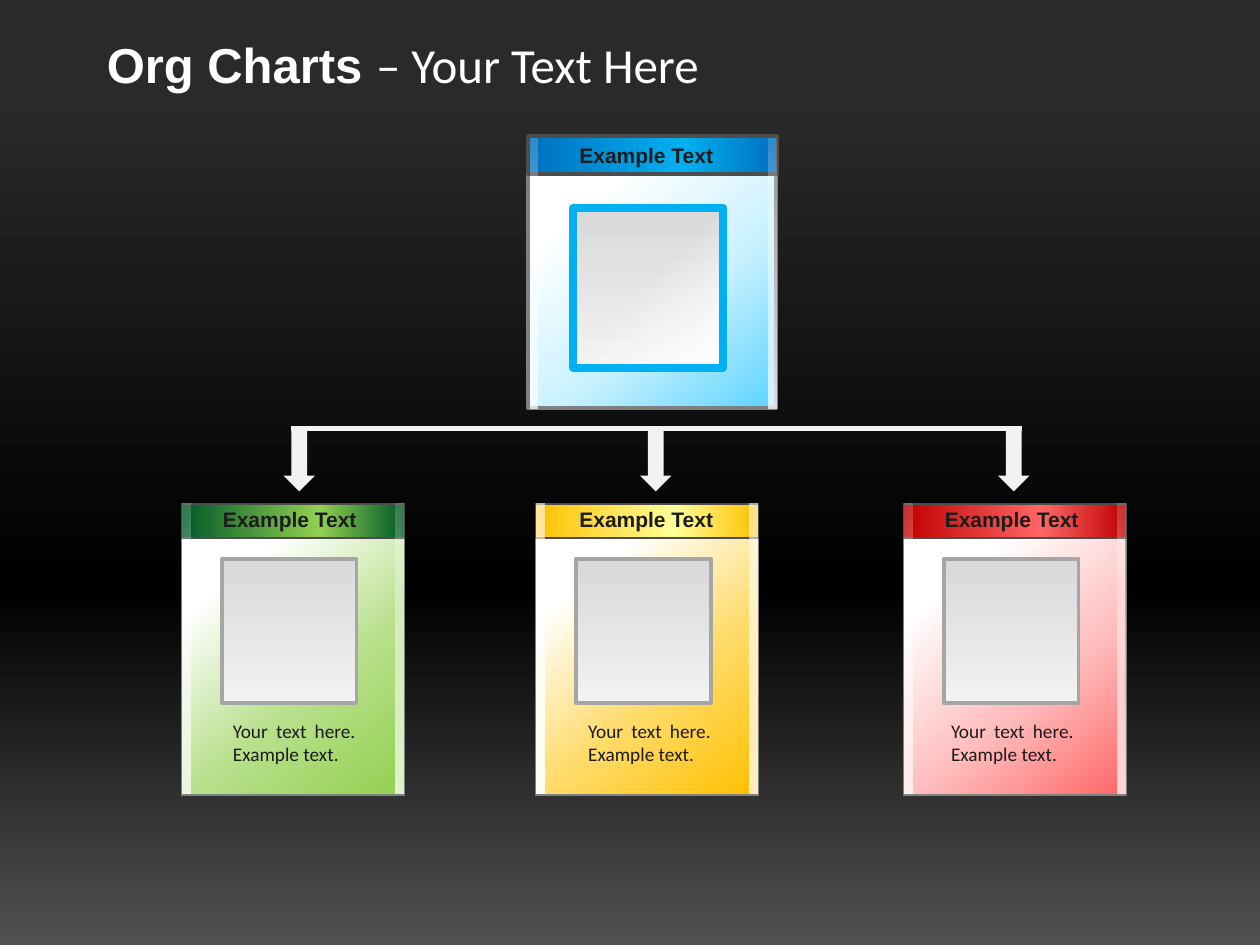
from lxml import etree
from pptx import Presentation
from pptx.dml.color import RGBColor
from pptx.enum.shapes import MSO_CONNECTOR, MSO_SHAPE
from pptx.enum.text import MSO_ANCHOR, PP_ALIGN
from pptx.oxml.ns import qn
from pptx.util import Inches, Pt

RECT, DOWN_ARROW = MSO_SHAPE.RECTANGLE, MSO_SHAPE.DOWN_ARROW
STRAIGHT = MSO_CONNECTOR.STRAIGHT
TOP, MIDDLE = MSO_ANCHOR.TOP, MSO_ANCHOR.MIDDLE
LEFT, JUSTIFY = PP_ALIGN.LEFT, PP_ALIGN.JUSTIFY

COLORS = {
    "white": "FFFFFF", "ink": "1C1C1C", "arrow": "F2F2F2", "edge": "808080",
    "header_edge": "4D4D4D", "frame": "A6A6A6", "frame_top": "00B0F0",
    "photo_low": "F2F2F2", "photo_high": "D9D9D9",
    "bg_top": "2A2A2A", "bg_mid": "000000", "bg_low": "515151",
    "blue": "0070C0", "blue_mid": "00B0F0", "blue_pale": "C9F1FF", "blue_end": "5DD4FF",
    "green": "005828", "green_mid": "92D050", "green_pale": "B8E08C", "green_end": "92D050",
    "gold": "FFC000", "gold_mid": "FFFF99", "gold_pale": "FFDB69", "gold_end": "FFC000",
    "red": "BF0000", "red_mid": "FF6666", "red_pale": "FFBFBF", "red_end": "FF6666",
}
TITLE = {"size": Pt(28), "name": "Arial", "bold": True}
SUBTITLE = {"size": Pt(28), "name": "Calibri", "bold": False}
HEADING = {"size": Pt(12), "name": "Arial", "bold": True}
BODY = {"size": Pt(11), "name": "Calibri", "bold": False}
SHEEN = ((18, 74), (18, 74))
BRANCHES = (
    ("green", 1.44, 1.67, 1.75, SHEEN),
    ("gold", 4.25, 4.5, 4.57, ((59, 95), (52, 74))),
    ("red", 7.17, 7.4, 7.45, SHEEN),
)


def rgb(name):
    """Return the named colour."""
    return RGBColor.from_string(COLORS[name])


def set_gradient(fill, owner, stops, angle):
    """Fill with (position, colour, opacity) stops at a clockwise angle."""
    fill.gradient()
    grad = owner.find(".//" + qn("a:gradFill"))
    gs_lst = grad.find(qn("a:gsLst"))
    for gs in list(gs_lst):
        gs_lst.remove(gs)
    for pos, color, opacity in stops:
        gs = etree.SubElement(gs_lst, qn("a:gs"), pos=str(pos * 1000))
        clr = etree.SubElement(gs, qn("a:srgbClr"), val=COLORS[color])
        if opacity < 100:
            etree.SubElement(clr, qn("a:alpha"), val=str(opacity * 1000))
    grad.find(qn("a:lin")).set("ang", str(angle * 60000))


def add_box(s, box, stops, angle, line=None, width=1):
    """Add a gradient rectangle with an optional outline."""
    sp = s.shapes.add_shape(RECT, *map(Inches, box))
    sp.shadow.inherit = False
    set_gradient(sp.fill, sp._element.spPr, stops, angle)
    if line:
        sp.line.color.rgb = rgb(line)
        sp.line.width = Pt(width)
    else:
        sp.line.fill.background()


def add_text(s, box, runs, color="ink", align=LEFT, anchor=TOP):
    """Add a wrapped text box made of (text, format) runs."""
    tf = s.shapes.add_textbox(*map(Inches, box)).text_frame
    tf.word_wrap = True
    tf.vertical_anchor = anchor
    p = tf.paragraphs[0]
    p.alignment = align
    for text, fmt in runs:
        r = p.add_run()
        r.text = text
        r.font.color.rgb = rgb(color)
        for key, value in fmt.items():
            setattr(r.font, key, value)


def add_line(s, x1, x2, y, color, width):
    """Add a horizontal line."""
    c = s.shapes.add_connector(STRAIGHT, *map(Inches, (x1, y, x2, y)))
    c.line.color.rgb = rgb(color)
    c.line.width = Pt(width)
    etree.SubElement(c._element.spPr, qn("a:effectLst"))


def add_arrow(s, x):
    """Add a downward arrow."""
    sp = s.shapes.add_shape(DOWN_ARROW, *map(Inches, (x, 3.4, 0.25, 0.5)))
    sp.shadow.inherit = False
    sp.fill.solid()
    sp.fill.fore_color.rgb = rgb("arrow")
    sp.line.fill.background()


def add_panel(s, hue, body, header, photo, frame, widths):
    """Add a card's body, header and framed photo area."""
    edge, header_edge, photo_edge = widths
    pale = [(24, "white", 100), (62, hue + "_pale", 100), (100, hue + "_end", 100)]
    band = [(0, hue, 100), (62, hue + "_mid", 100), (100, hue, 100)]
    grey = [(0, "photo_low", 100), (100, "photo_high", 100)]
    add_box(s, body, pale, 50, "edge", edge)
    add_box(s, header, band, 0, "header_edge", header_edge)
    add_box(s, photo, grey, 270, frame, photo_edge)


def add_sheen(s, xs, y, height, opacities):
    """Add the translucent strips along both card sides."""
    for x, (start, end) in zip(xs, opacities):
        stops = [(0, "white", start), (100, "white", end)]
        add_box(s, (x, y, 0.06, height), stops, 90)


def add_branch(s, hue, x, heading_x, body_x, opacities):
    """Add a lower card with its heading and text."""
    add_panel(s, hue, (x, 4.01, 1.77, 2.3), (x, 4, 1.77, 0.27),
              (x + 0.32, 4.44, 1.07, 1.14), "frame", (1, 1, 2.25))
    add_sheen(s, (x + 0.01, x + 1.7), 4, 2.3, opacities)
    add_text(s, (heading_x, 3.97, 1.42, 0.3), [("Example Text", HEADING)])
    add_text(s, (body_x, 5.66, 1.17, 0.47),
             [("Your text here. Example text.", BODY)], align=JUSTIFY)


def add_root(s):
    """Add the top card."""
    add_panel(s, "blue", (4.19, 1.09, 1.97, 2.15), (4.19, 1.08, 1.98, 0.3),
              (4.55, 1.65, 1.19, 1.27), "frame_top", (2, 2, 4.5))
    add_line(s, 4.54, 5.74, 3.24, "edge", 0.75)
    add_text(s, (4.5, 1.08, 1.42, 0.3), [("Example Text", HEADING)])
    add_box(s, (4.5, 1.62, 1.2, 1.26), [(51, "white", 0), (100, "white", 100)], 45)
    add_sheen(s, (4.21, 6.1), 1.1, 2.14, SHEEN)


def main():
    """Build and save the org chart slide."""
    prs = Presentation()
    prs.slide_width, prs.slide_height = Inches(10), Inches(7.5)
    s = prs.slides.add_slide(prs.slide_layouts[6])
    set_gradient(s.background.fill, s._element,
                 [(10, "bg_top", 100), (62, "bg_mid", 100), (100, "bg_low", 100)], 90)
    add_text(s, (0.75, 0.17, 6.17, 0.67),
             [("Org Charts ", TITLE), ("– Your Text Here", SUBTITLE)], "white", anchor=MIDDLE)
    for branch in BRANCHES:
        add_branch(s, *branch)
    add_root(s)
    for x in (2.25, 5.08, 7.92):
        add_arrow(s, x)
    add_line(s, 2.31, 8.11, 3.4, "arrow", 3)
    prs.save("out.pptx")


main()
